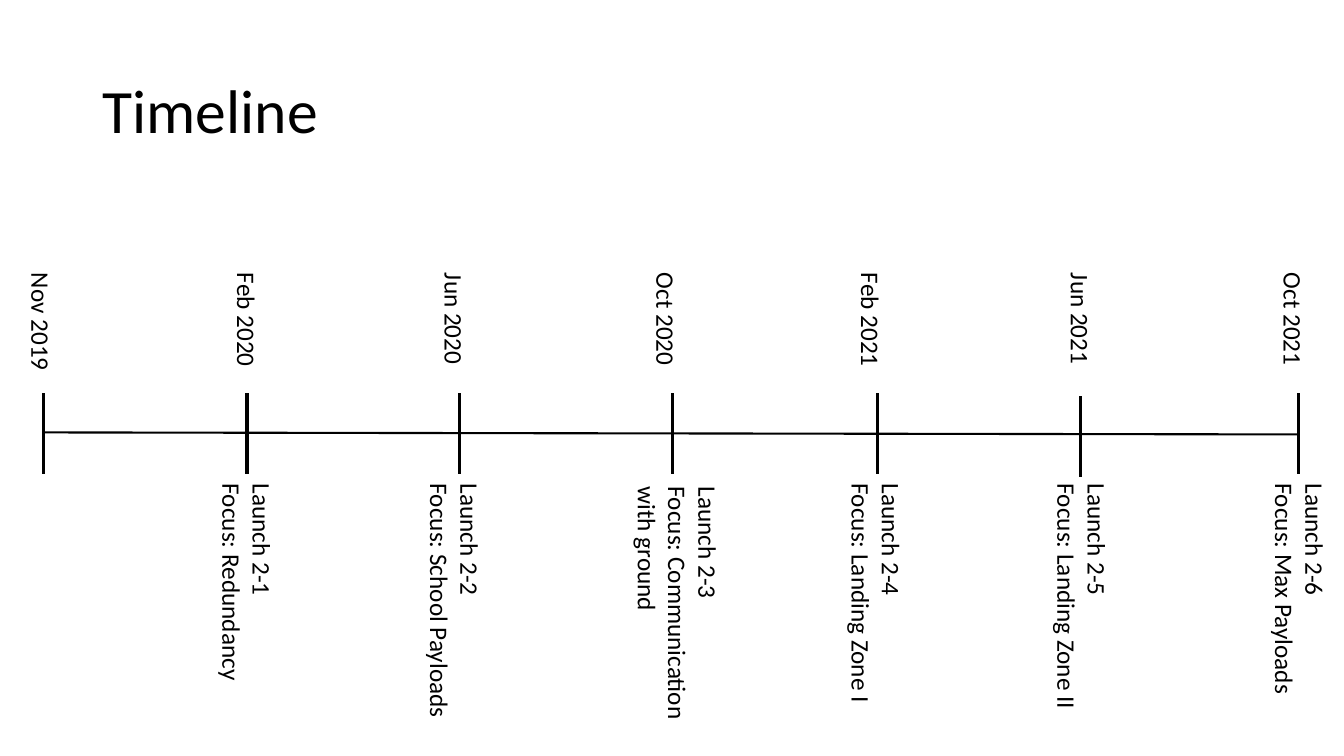
import pptx
import pptx.dml.color
import pptx.enum.shapes
import pptx.enum.text
import pptx.oxml
import pptx.util

PX = 9144  # EMU per px, 100 px to the inch
FONT = "Calibri"
COLORS = {"ink": "000000"}

# tick x, tick top, date centre x, date, focus, note centre x, note top, length, thickness
MILESTONES = [
    (43, 390, 41, "Nov 2019", None, 0, 0, 0, 0),
    (245, 390, 245, "Feb 2020", "Redundancy", 245, 470, 222, 71),
    (456, 390, 451, "Jun 2020", "School Payloads", 451, 470, 256, 71),
    (667, 390, 661, "Oct 2020", "Communication with ground", 672, 473, 258, 101),
    (870, 390, 864, "Feb 2021", "Landing Zone I", 869, 470, 240, 71),
    (1072, 393, 1072, "Jun 2021", "Landing Zone II", 1073, 470, 256, 71),
    (1288, 390, 1283, "Oct 2021", "Max Payloads", 1289, 470, 256, 71),
]


def ink():
    return pptx.dml.color.RGBColor.from_string(COLORS["ink"])


def add_text(slide, box, text, size):
    shape = slide.shapes.add_textbox(*(round(length * PX) for length in box))
    text_frame = shape.text_frame
    text_frame.word_wrap = True
    text_frame.text = text
    for paragraph in text_frame.paragraphs:
        for run in paragraph.runs:
            run.font.name = FONT
            run.font.size = pptx.util.Pt(size)
            run.font.color.rgb = ink()
    return shape


def add_line(slide, start, end, width):
    line = slide.shapes.add_connector(
        pptx.enum.shapes.MSO_CONNECTOR.STRAIGHT,
        *(length * PX for length in start + end))
    line.line.color.rgb = ink()
    line.line.width = pptx.util.Pt(width)
    effects = pptx.oxml.parse_xml(
        '<a:effectLst xmlns:a="http://schemas.openxmlformats.org/drawingml/2006/main"/>')
    line._element.spPr.append(effects)


def add_vertical_label(slide, center_x, top, length, thickness, text):
    """Text reading downwards from top, centred on center_x."""
    box = (center_x - length / 2, top + (length - thickness) / 2, length, thickness)
    shape = add_text(slide, box, text, 18)
    shape.rotation = 90
    shape.text_frame.auto_size = pptx.enum.text.MSO_AUTO_SIZE.SHAPE_TO_FIT_TEXT


def add_title(slide, box):
    shape = add_text(slide, box, "Timeline", 44)
    shape.text_frame.vertical_anchor = pptx.enum.text.MSO_ANCHOR.MIDDLE
    shape.text_frame.paragraphs[0].line_spacing = 0.9


def add_timeline(slide, box):
    left, top, width, height = box
    # Axis
    add_line(slide, (left + 43, top + 168), (left + width, top + 170), 1.5)
    # Ticks, dates and launch notes
    launch = 0
    for (tick_x, tick_top, date_x, date, focus,
         note_x, note_top, length, thickness) in MILESTONES:
        tick_y = top + tick_top - 261
        add_line(slide, (left + tick_x, tick_y), (left + tick_x, tick_y + 80), 2.25)
        add_vertical_label(slide, left + date_x, top, 128, 40, date)
        if focus:
            launch += 1
            add_vertical_label(slide, left + note_x, top + note_top - 261, length,
                               thickness, f"Launch 2-{launch}\nFocus: {focus}")


def main():
    presentation = pptx.Presentation()
    presentation.slide_width = 1333 * PX
    presentation.slide_height = 750 * PX
    slide = presentation.slides.add_slide(presentation.slide_layouts[6])
    add_title(slide, (92, 40, 1150, 145))
    add_timeline(slide, (0, 261, 1289, 470))
    presentation.save("out.pptx")


if __name__ == "__main__":
    main()
